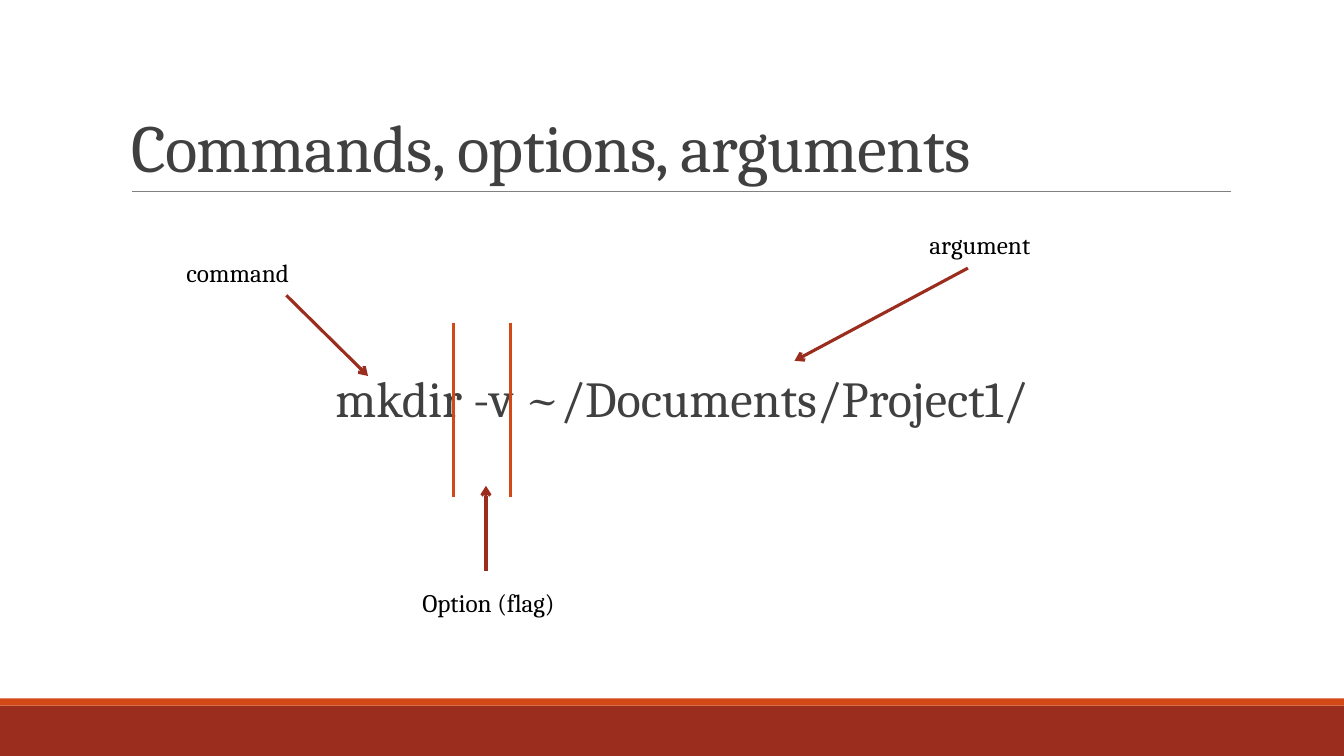
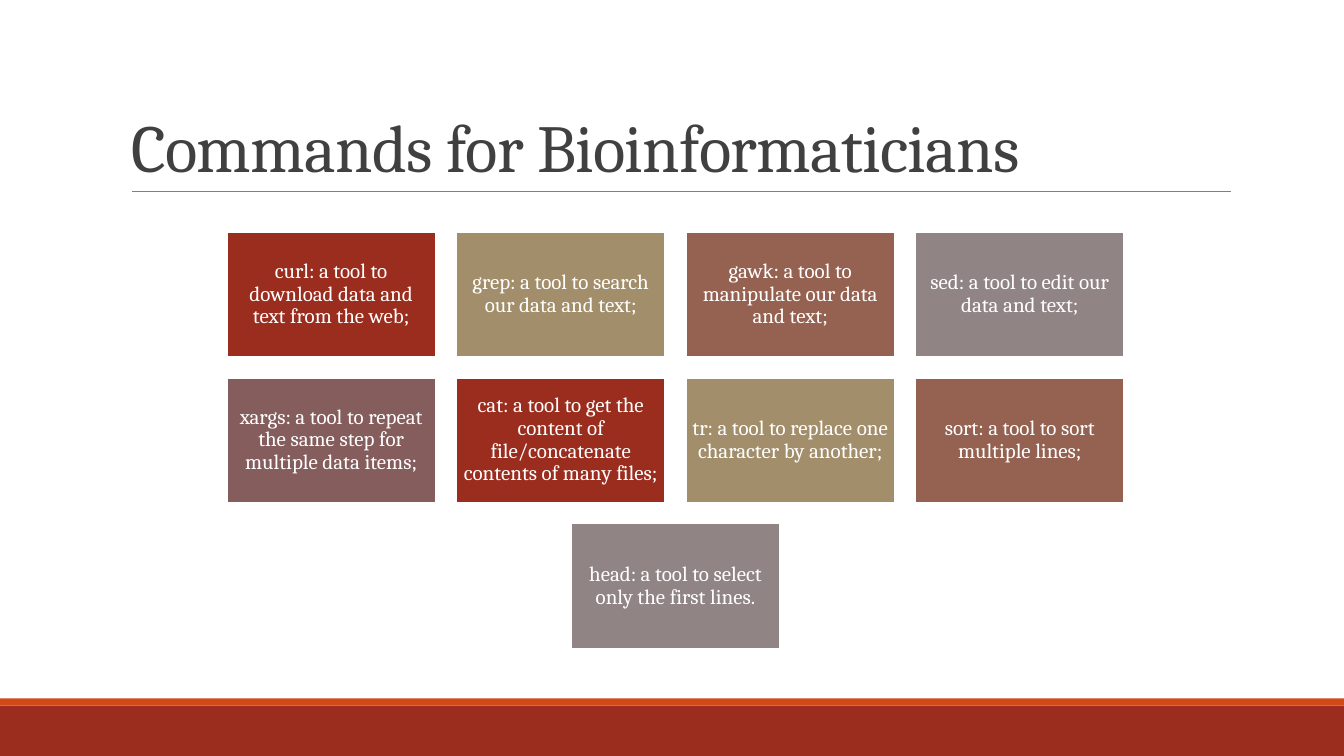
"""Build two slides about shell commands, their options and arguments."""
from lxml import etree
from pptx import Presentation
from pptx import util as u
from pptx.dml.color import RGBColor
from pptx.enum import shapes, text
from pptx.oxml import ns

SCALE = 9144
WIDTH, HEIGHT = 1333, 750
FONT = "Cambria"
COLORS = {
    "red": "9B2D1F", "orange": "D34817", "rule": "808080", "ink": "404040",
    "black": "000000", "white": "FFFFFF", "sand": "A28E6A", "clay": "956251",
    "gray": "918485", "plum": "855D5D",
}
BANDS = [((0, 700, WIDTH, 50), "red"), ((0, 693, WIDTH, 7), "orange")]
TITLE_BOX = (120, 31, 1100, 159)
TITLE_RULE = (131, 190, 1221, 190)

COMMAND_LINE = "mkdir -v ~/Documents/Project1/"
COMMAND_BOX = (120, 366, 1100, 83)
COMMAND_INSET = 12
LABEL_SIZE = (247, 40)
LABELS = [("Option (flag)", 409, 578), ("command", 175, 250), ("argument", 912, 223)]
ARROWS = [(482, 566, 482, 482), (284, 293, 365, 373), (960, 266, 788, 358)]
DIVIDERS = [(x, 320, x, 493) for x in (450, 506)]

TOOLS = [
    "curl: a tool to download data and text from the web;",
    "grep: a tool to search our data and text;",
    "gawk: a tool to manipulate our data and text;",
    "sed: a tool to edit our data and text;",
    "xargs: a tool to repeat the same step for multiple data items;",
    "cat: a tool to get the content of file/concatenate contents of many files;",
    "tr: a tool to replace one character by another;",
    "sort: a tool to sort multiple lines;",
    "head: a tool to select only the first lines.",
]
TOOL_COLORS = ["red", "sand", "clay", "gray", "plum"]
GRID_LEFT, GRID_TOP, GRID_WIDTH = 225, 230, 890
CARD_WIDTH, CARD_HEIGHT, COLUMNS = 207, 124, 4


def px(*lengths):
    return [u.Emu(round(length * SCALE)) for length in lengths]


def rgb(name):
    return RGBColor.from_string(COLORS[name])


def set_text(frame, content, size, color, align=text.PP_ALIGN.LEFT, spacing=None):
    frame.word_wrap = True
    frame.text = content
    paragraph = frame.paragraphs[0]
    paragraph.alignment = align
    paragraph.line_spacing = spacing
    paragraph.font.name = FONT
    paragraph.font.size = u.Pt(size)
    paragraph.font.color.rgb = rgb(color)
    return paragraph


def add_box(slide, box, fill):
    shape = slide.shapes.add_shape(shapes.MSO_SHAPE.RECTANGLE, *px(*box))
    shape.shadow.inherit = False
    shape.fill.solid()
    shape.fill.fore_color.rgb = rgb(fill)
    shape.line.fill.background()
    return shape


def add_line(slide, ends, color, width, arrow=False):
    line = slide.shapes.add_connector(shapes.MSO_CONNECTOR.STRAIGHT, *px(*ends))
    line.line.color.rgb = rgb(color)
    line.line.width = u.Pt(width)
    if arrow:
        etree.SubElement(line.line._get_or_add_ln(), ns.qn("a:tailEnd"), type="arrow")
    etree.SubElement(line._element.spPr, ns.qn("a:effectLst"))


def add_slide(presentation, title):
    slide = presentation.slides.add_slide(presentation.slide_layouts[5])
    for box, color in BANDS:
        add_box(slide, box, color)
    add_line(slide, TITLE_RULE, "rule", 0.5)
    shape = slide.shapes.title
    shape.left, shape.top, shape.width, shape.height = px(*TITLE_BOX)
    frame = shape.text_frame
    frame.auto_size = text.MSO_AUTO_SIZE.NONE
    frame.vertical_anchor = text.MSO_ANCHOR.BOTTOM
    paragraph = set_text(frame, title, 48, "ink", spacing=0.85)
    paragraph.runs[0]._r.get_or_add_rPr().set("spc", "-50")
    return slide


def add_syntax_slide(presentation):
    slide = add_slide(presentation, "Commands, options, arguments")
    frame = slide.shapes.add_textbox(*px(*COMMAND_BOX)).text_frame
    frame.margin_left, frame.margin_right = px(COMMAND_INSET, 0)
    set_text(frame, COMMAND_LINE, 36, "ink", text.PP_ALIGN.CENTER, 0.9)
    for ends in ARROWS:
        add_line(slide, ends, "red", 2.25, arrow=True)
    for ends in DIVIDERS:
        add_line(slide, ends, "orange", 2.25)
    for label, left, top in LABELS:
        label_box = slide.shapes.add_textbox(*px(left, top, *LABEL_SIZE))
        set_text(label_box.text_frame, label, 18, "black")


def add_tools_slide(presentation):
    slide = add_slide(presentation, "Commands for Bioinformaticians")
    gap = (GRID_WIDTH - COLUMNS * CARD_WIDTH) / (COLUMNS - 1)
    for index, tool in enumerate(TOOLS):
        row, column = divmod(index, COLUMNS)
        count = min(COLUMNS, len(TOOLS) - row * COLUMNS)
        row_width = count * (CARD_WIDTH + gap) - gap
        left = GRID_LEFT + (GRID_WIDTH - row_width) / 2 + column * (CARD_WIDTH + gap)
        top = GRID_TOP + row * (CARD_HEIGHT + gap)
        color = TOOL_COLORS[index % len(TOOL_COLORS)]
        card = add_box(slide, (left, top, CARD_WIDTH, CARD_HEIGHT), color)
        card.line.color.rgb = rgb("white")
        card.line.width = u.Pt(1.25)
        frame = card.text_frame
        frame.vertical_anchor = text.MSO_ANCHOR.MIDDLE
        frame.margin_left, frame.margin_top, frame.margin_right, frame.margin_bottom = px(6, 6, 6, 6)
        set_text(frame, tool, 15, "white", text.PP_ALIGN.CENTER, 0.9)


def main():
    presentation = Presentation()
    presentation.slide_width, presentation.slide_height = px(WIDTH, HEIGHT)
    add_syntax_slide(presentation)
    add_tools_slide(presentation)
    presentation.save("out.pptx")


if __name__ == "__main__":
    main()
